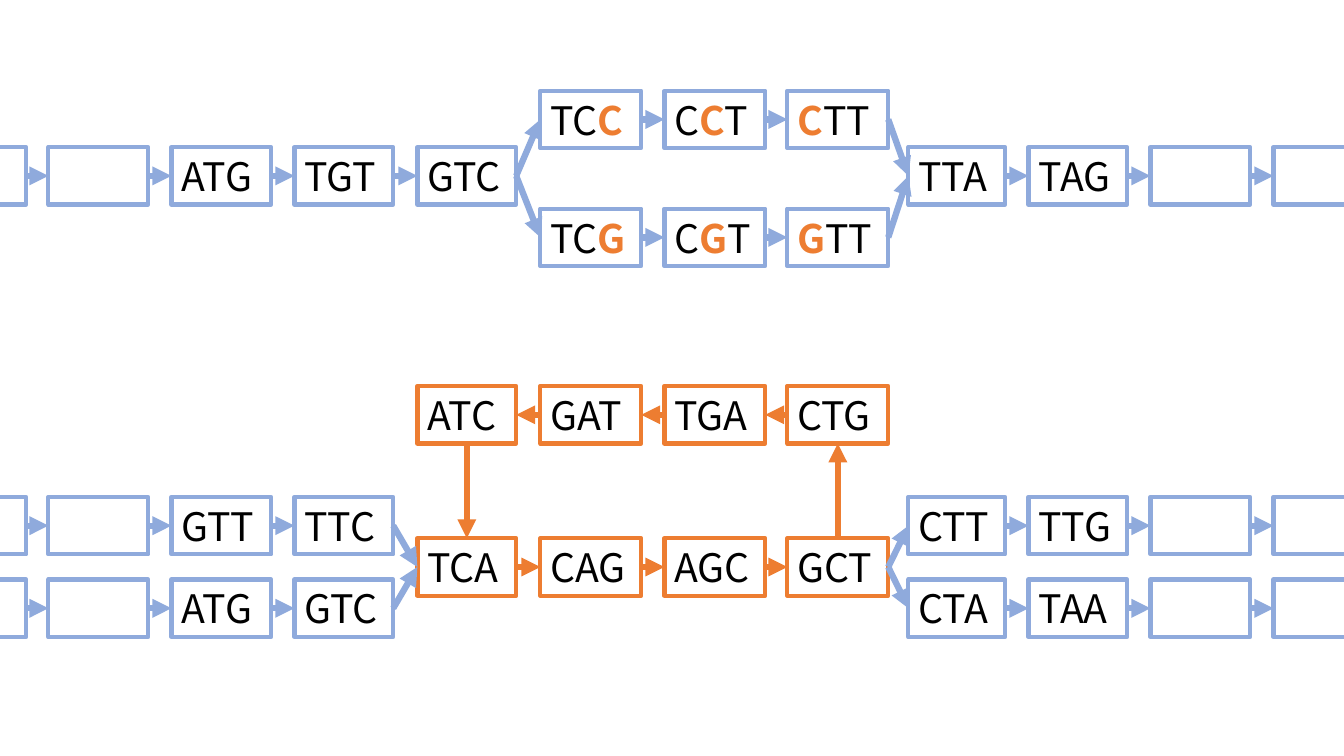
from dataclasses import dataclass
from itertools import pairwise

from lxml.etree import SubElement
from pptx import Presentation
from pptx.dml.color import RGBColor
from pptx.enum.shapes import MSO_CONNECTOR, MSO_SHAPE
from pptx.enum.text import MSO_ANCHOR, PP_ALIGN
from pptx.oxml.ns import qn
from pptx.util import Inches, Pt


@dataclass(frozen=True)
class Theme:
    blue: RGBColor = RGBColor.from_string("8FAADC")
    orange: RGBColor = RGBColor.from_string("ED7D31")
    black: RGBColor = RGBColor.from_string("000000")
    font: str = "Noto Sans CJK JP"
    size: Pt = Pt(28)
    frame: Pt = Pt(3)
    arrow: Pt = Pt(4.5)


THEME = Theme()
TOP, LEFT, BOTTOM, RIGHT = range(4)
HEIGHT = 0.57
COLUMNS = [
    (-0.73, 0.99), (0.48, 0.99), (1.7, 0.99), (2.92, 0.98),
    (4.14, 0.98), (5.36, 1), (6.59, 1), (7.81, 1),
    (9.01, 0.96), (10.2, 0.98), (11.41, 0.99), (12.63, 0.99),
]


def write(box, text):
    frame = box.text_frame
    frame.word_wrap = True
    frame.vertical_anchor = MSO_ANCHOR.MIDDLE
    frame.margin_right = frame.margin_top = frame.margin_bottom = 0
    line = frame.paragraphs[0]
    line.alignment = PP_ALIGN.LEFT
    line.font.name = THEME.font
    line.font.size = THEME.size
    for index, part in enumerate(text.split("*")):
        if part:
            marked = index % 2 == 1
            run = line.add_run()
            run.text = part
            run.font.bold = marked
            run.font.color.rgb = THEME.orange if marked else THEME.black


def add_box(slide, column, top, text, color):
    left, width = COLUMNS[column]
    box = slide.shapes.add_shape(
        MSO_SHAPE.RECTANGLE, Inches(left), Inches(top), Inches(width), Inches(HEIGHT))
    box.shadow.inherit = False
    box.fill.background()
    box.line.color.rgb = color
    box.line.width = THEME.frame
    if text:
        write(box, text)
    return box


def add_arrow(slide, start, end, color, exit=RIGHT, entry=LEFT):
    arrow = slide.shapes.add_connector(MSO_CONNECTOR.STRAIGHT, 0, 0, 0, 0)
    arrow.begin_connect(start, exit)
    arrow.end_connect(end, entry)
    arrow.line.color.rgb = color
    arrow.line.width = THEME.arrow
    SubElement(arrow.line._get_or_add_ln(), qn("a:tailEnd"), type="triangle")
    SubElement(arrow._element.spPr, qn("a:effectLst"))


def add_chain(slide, column, top, texts, color=THEME.blue, back=False):
    boxes = [add_box(slide, column + index, top, text, color)
             for index, text in enumerate(texts)]
    for first, second in pairwise(boxes):
        if back:
            add_arrow(slide, second, first, color, LEFT, RIGHT)
        else:
            add_arrow(slide, first, second, color)
    return boxes


def add_bubble(slide):
    before = add_chain(slide, 0, 1.46, ["", "", "ATG", "TGT", "GTC"])
    after = add_chain(slide, 8, 1.46, ["TTA", "TAG", "", ""])
    branches = [(0.9, ["TC*C*", "C*C*T", "*C*TT"]),
                (2.07, ["TC*G*", "C*G*T", "*G*TT"])]
    for top, texts in branches:
        branch = add_chain(slide, 5, top, texts)
        add_arrow(slide, before[-1], branch[0], THEME.blue)
        add_arrow(slide, branch[-1], after[0], THEME.blue)


def add_repeat(slide):
    lower = add_chain(slide, 4, 5.34, ["TCA", "CAG", "AGC", "GCT"], THEME.orange)
    upper = add_chain(slide, 4, 3.83, ["ATC", "GAT", "TGA", "CTG"], THEME.orange, True)
    add_arrow(slide, lower[-1], upper[-1], THEME.orange, TOP, BOTTOM)
    add_arrow(slide, upper[0], lower[0], THEME.orange, BOTTOM, TOP)
    strands = [(4.93, ["", "", "GTT", "TTC"], ["CTT", "TTG", "", ""]),
               (5.75, ["", "", "ATG", "GTC"], ["CTA", "TAA", "", ""])]
    for top, start, end in strands:
        before = add_chain(slide, 0, top, start)
        after = add_chain(slide, 8, top, end)
        add_arrow(slide, before[-1], lower[0], THEME.blue)
        add_arrow(slide, lower[-1], after[0], THEME.blue)


def main():
    deck = Presentation()
    deck.slide_width = Inches(13.33)
    deck.slide_height = Inches(7.5)
    slide = deck.slides.add_slide(deck.slide_layouts[6])
    add_bubble(slide)
    add_repeat(slide)
    deck.save("out.pptx")


if __name__ == "__main__":
    main()
